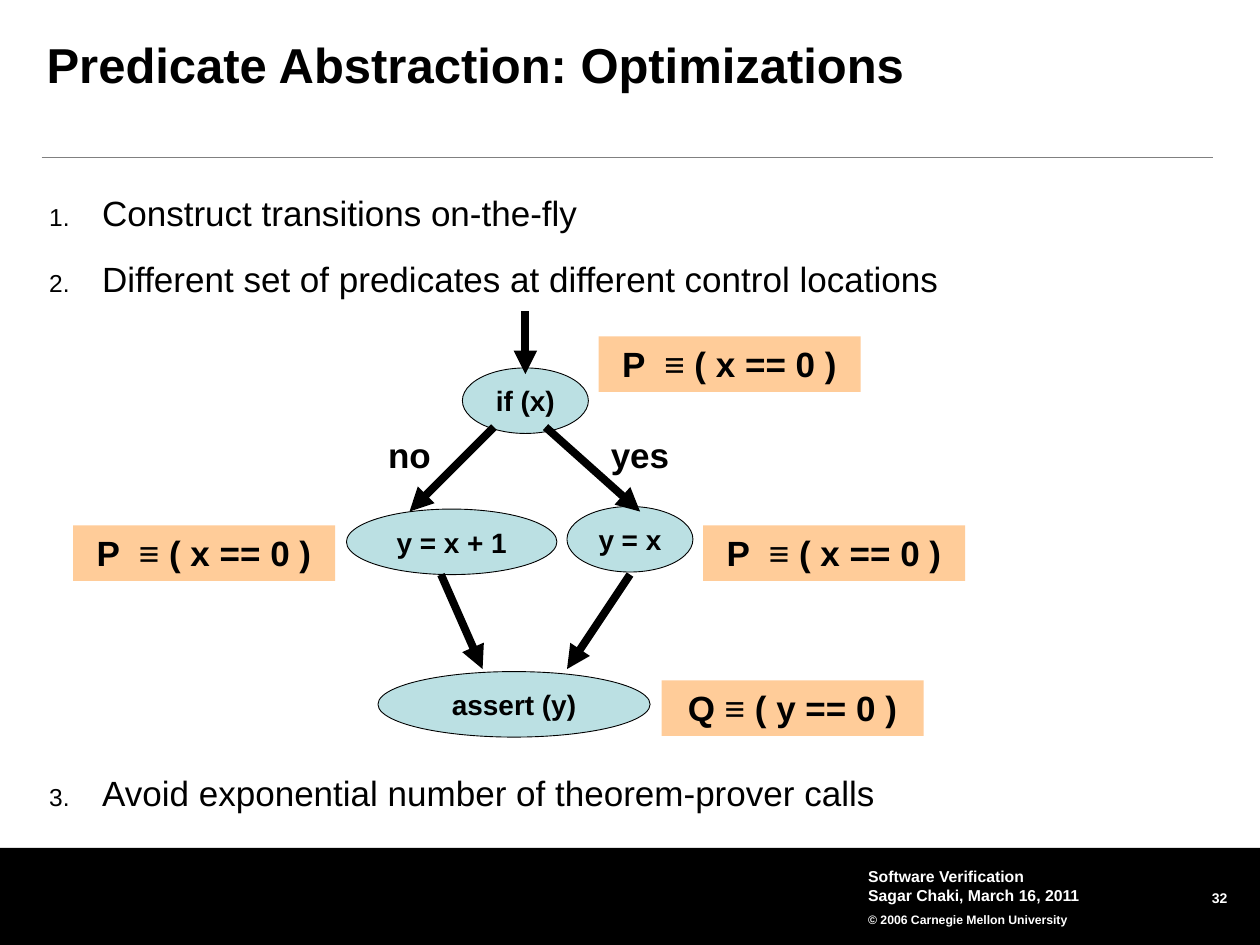
import dataclasses

import pptx
import pptx.dml.color
import pptx.enum.shapes
import pptx.enum.text
import pptx.oxml
import pptx.oxml.ns
import pptx.util

Inches = pptx.util.Inches
Pt = pptx.util.Pt
ALIGN = pptx.enum.text.PP_ALIGN
ANCHOR = pptx.enum.text.MSO_ANCHOR
SHAPE = pptx.enum.shapes.MSO_SHAPE


@dataclasses.dataclass(frozen=True)
class Theme:
    font: str = "Arial"
    ink: str = "000000"
    paper: str = "FFFFFF"
    rule: str = "808080"
    node: str = "BBE0E3"
    predicate: str = "FFCC99"
    title_size: float = 28
    body_size: float = 20
    node_size: float = 16
    footer_size: float = 9
    number_size: float = 8
    copyright_size: float = 7


THEME = Theme()
NODE_HEIGHT = 0.52
PREDICATE_SIZE = (2.08, 0.44)
LIST_INDENT = 0.42
STANDARD_INSETS = (0.1, 0.05, 0.1, 0.05)
NO_INSETS = (0, 0, 0, 0)


def color(value):
    return pptx.dml.color.RGBColor.from_string(value)


def apply(target, values):
    for name, value in values.items():
        setattr(target, name, value)


def set_frame(frame, insets=STANDARD_INSETS, anchor=ANCHOR.TOP, wrap=True):
    left, top, right, bottom = map(Inches, insets)
    apply(frame, {
        "margin_left": left, "margin_top": top,
        "margin_right": right, "margin_bottom": bottom,
        "vertical_anchor": anchor, "word_wrap": wrap,
        "auto_size": pptx.enum.text.MSO_AUTO_SIZE.NONE,
    })


def write(para, text, size, bold=True, ink=THEME.ink, **layout):
    """Put one formatted span in a paragraph; layout holds paragraph values."""
    apply(para, layout)
    span = para.add_run()
    span.text = text
    apply(span.font, {"name": THEME.font, "size": Pt(size), "bold": bold})
    span.font.color.rgb = color(ink)


def add_text(page, place, **frame_values):
    box = page.shapes.add_textbox(*map(Inches, place))
    set_frame(box.text_frame, **frame_values)
    return box.text_frame


def add_block(page, kind, place, fill, outlined=False):
    block = page.shapes.add_shape(kind, *map(Inches, place))
    block.shadow.inherit = False
    block.fill.solid()
    block.fill.fore_color.rgb = color(fill)
    if outlined:
        block.line.color.rgb = color(THEME.ink)
        block.line.width = Pt(0.5)
    else:
        block.line.fill.background()
    return block


def add_line(page, start, end, ink, width, arrow=False):
    line = page.shapes.add_connector(
        pptx.enum.shapes.MSO_CONNECTOR.STRAIGHT, *map(Inches, start + end))
    line.line.color.rgb = color(ink)
    line.line.width = Pt(width)
    if arrow:
        tail = pptx.oxml.parse_xml(
            f'<a:tailEnd {pptx.oxml.ns.nsdecls("a")} type="triangle"/>')
        line.line._get_or_add_ln().append(tail)
    line._element.spPr.append(pptx.oxml.parse_xml(
        f'<a:effectLst {pptx.oxml.ns.nsdecls("a")}/>'))


def add_node(page, left, top, width, text):
    node = add_block(page, SHAPE.OVAL, (left, top, width, NODE_HEIGHT),
                     THEME.node, outlined=True)
    set_frame(node.text_frame, anchor=ANCHOR.MIDDLE)
    write(node.text_frame.paragraphs[0], text, THEME.node_size,
          alignment=ALIGN.CENTER)


def add_predicate(page, left, top, text):
    block = add_block(page, SHAPE.RECTANGLE, (left, top) + PREDICATE_SIZE,
                      THEME.predicate)
    set_frame(block.text_frame)
    write(block.text_frame.paragraphs[0], text, THEME.body_size,
          alignment=ALIGN.CENTER)


def add_branch_label(page, left, width, text):
    frame = add_text(page, (left, 3.39, width, 0.44), wrap=False)
    write(frame.paragraphs[0], text, THEME.body_size, alignment=ALIGN.CENTER)


def number_paragraph(para):
    properties = para._p.get_or_add_pPr()
    indent = Inches(LIST_INDENT)
    properties.set("marL", str(indent))
    properties.set("indent", str(-indent))
    for element in (f'<a:buClr {{}}><a:srgbClr val="{THEME.ink}"/></a:buClr>',
                    '<a:buSzPct {} val="70000"/>',
                    f'<a:buFont {{}} typeface="{THEME.font}"/>',
                    '<a:buAutoNum {} type="arabicPeriod"/>'):
        properties.append(pptx.oxml.parse_xml(
            element.format(pptx.oxml.ns.nsdecls("a"))))


def add_list(page):
    """Number the points, leaving room for the flow graph before the last."""
    frame = add_text(page, (0.39, 1.5, 8.75, 4.85), insets=NO_INSETS)
    points = (
        ("Construct transitions on-the-fly", 0),
        ("Different set of predicates at different control locations", 0),
        ("Avoid exponential number of theorem-prover calls", 256),
    )
    for index, (text, gap) in enumerate(points):
        para = frame.add_paragraph() if index else frame.paragraphs[0]
        number_paragraph(para)
        write(para, text, THEME.body_size, bold=False, line_spacing=1.05,
              space_before=Pt(gap), space_after=Pt(12.5))


def add_title(page):
    title = page.shapes.title
    apply(title, {"left": Inches(0.37), "top": Inches(0.33),
                  "width": Inches(8.78), "height": Inches(0.61)})
    set_frame(title.text_frame, insets=NO_INSETS)
    write(title.text_frame.paragraphs[0], "Predicate Abstraction: Optimizations",
          THEME.title_size, alignment=ALIGN.LEFT, line_spacing=0.9)
    add_line(page, (0.33, 1.25), (9.63, 1.25), THEME.rule, 0.5)


def add_footer(page):
    add_block(page, SHAPE.RECTANGLE, (0, 6.73, 10, 0.77), THEME.ink)
    number = add_text(page, (8.92, 7.01, 0.92, 0.41), insets=(0, 0, 0.1, 0.05))
    write(number.paragraphs[0], "32", THEME.number_size, ink=THEME.paper,
          alignment=ALIGN.RIGHT, line_spacing=Pt(13))
    credit = add_text(page, (6.84, 6.83, 2.58, 0.58), insets=(0.05,) * 4,
                      anchor=ANCHOR.MIDDLE)
    lines = (
        ("Software Verification", THEME.footer_size, 1),
        ("Sagar Chaki, March 16, 2011", THEME.footer_size, 1),
        ("© 2006 Carnegie Mellon University", THEME.copyright_size, 1.5),
    )
    for index, (text, size, spacing) in enumerate(lines):
        para = credit.add_paragraph() if index else credit.paragraphs[0]
        write(para, text, size, ink=THEME.paper, line_spacing=spacing)


def add_flow_graph(page):
    for node in ((2.75, 4.04, 1.67, "y = x + 1"), (3.67, 2.92, 1, "if (x)"),
                 (4.5, 4.02, 1, "y = x"), (3, 5.33, 2.16, "assert (y)")):
        add_node(page, *node)
    for start, end in (((3.92, 3.39), (3.25, 4.06)), ((4.33, 3.39), (5.08, 4.06)),
                       ((3.5, 4.56), (3.83, 5.31)), ((5, 4.56), (4.5, 5.31)),
                       ((4.17, 2.47), (4.17, 2.97))):
        add_line(page, start, end, THEME.ink, 4.5, arrow=True)
    add_branch_label(page, 2.98, 0.54, "no")
    add_branch_label(page, 4.75, 0.66, "yes")
    for left, top in ((4.75, 2.67), (5.58, 4.17), (0.58, 4.17)):
        add_predicate(page, left, top, "P  ≡ ( x == 0 )")
    add_predicate(page, 5.25, 5.4, "Q ≡ ( y == 0 )")


def main():
    deck = pptx.Presentation()
    apply(deck, {"slide_width": Inches(10), "slide_height": Inches(7.5)})
    page = deck.slides.add_slide(deck.slide_layouts.get_by_name("Title Only"))
    add_footer(page)
    add_title(page)
    add_list(page)
    add_flow_graph(page)
    deck.save("out.pptx")


if __name__ == "__main__":
    main()
